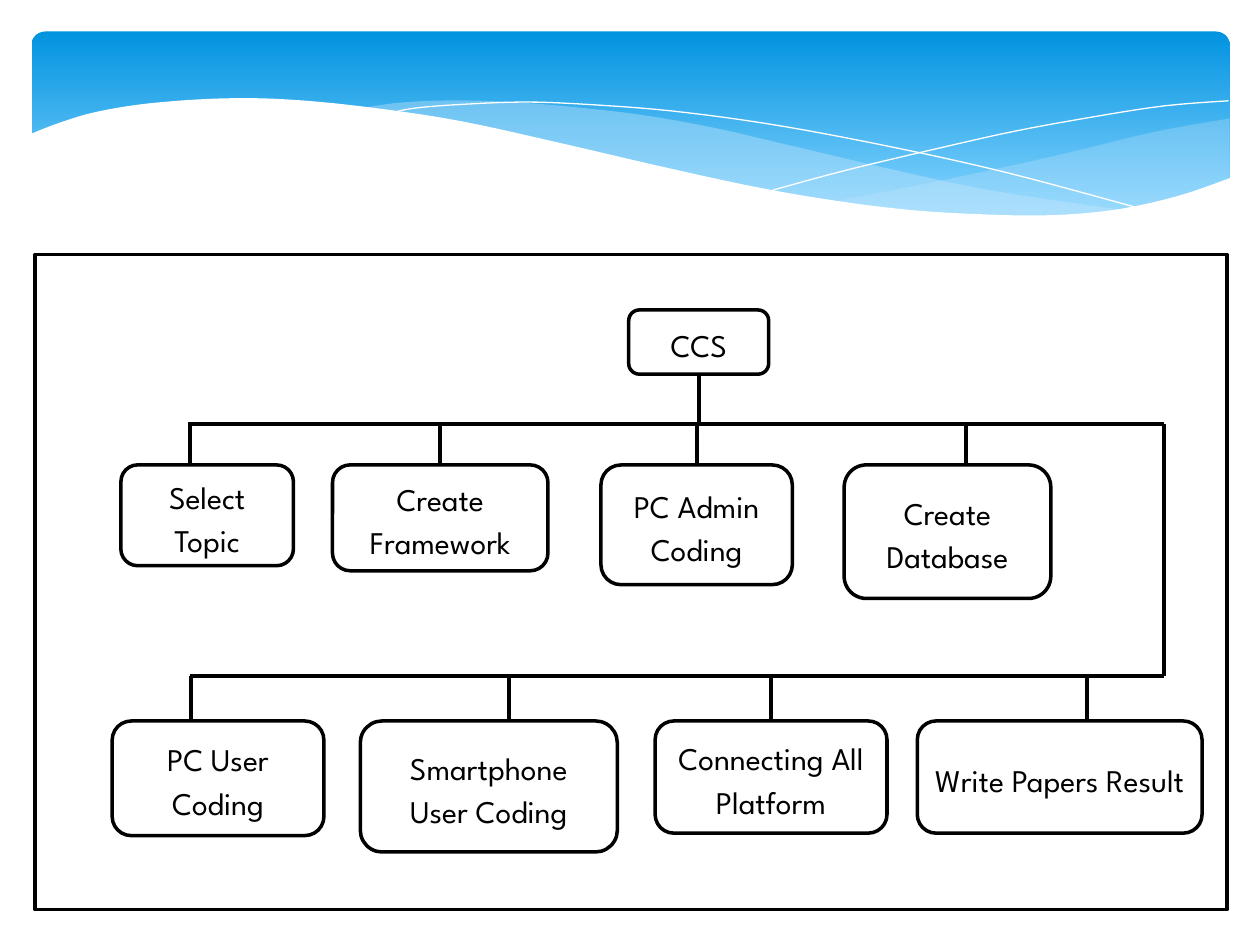
from lxml import etree
from pptx import Presentation
from pptx.dml.color import RGBColor
from pptx.enum.shapes import MSO_CONNECTOR, MSO_SHAPE
from pptx.enum.text import MSO_ANCHOR, PP_ALIGN
from pptx.oxml.ns import qn
from pptx.util import Pt

STRAIGHT = MSO_CONNECTOR.STRAIGHT
RECT, ROUNDED = MSO_SHAPE.RECTANGLE, MSO_SHAPE.ROUNDED_RECTANGLE
MIDDLE, CENTER = MSO_ANCHOR.MIDDLE, PP_ALIGN.CENTER
TOP, BOTTOM = 0, 2

BLACK = RGBColor(0x00, 0x00, 0x00)
WHITE = RGBColor(0xFF, 0xFF, 0xFF)
SKY = RGBColor(0x02, 0x93, 0xE0)
PALE_SKY = RGBColor(0x83, 0xD3, 0xFE)
MIST = RGBColor(0xC6, 0xE7, 0xFC)
FONT = "League Spartan"

# Curve knots, relative to the banner's top left corner
WAVE_EDGE = [(-1.5, 59), (15, 52.5), (36.7, 46), (67.7, 41), (109.4, 38.2),
             (147.6, 38.9), (192.2, 43.2), (244.8, 51.1), (303.8, 64.1),
             (362.9, 77.8), (416.2, 89.3), (463, 97.2), (504.7, 102.2),
             (542.2, 104.4), (574.6, 105.1), (603.4, 103.7), (629.3, 100.1),
             (658.8, 92.9), (685.4, 83.5)]
WAVE_BASE = [(685.4, 143.3), (-1.5, 143.3)]
RIGHT_CREST = [(684.7, 49.7), (655.2, 54.7), (634.3, 59), (601.9, 67),
               (561.6, 76.3), (506.9, 87.8), (457.9, 97.2)]
RIGHT_TROUGH = [(457.9, 97.2), (489.6, 100.8), (527, 104.4), (568.1, 105.8),
                (603.4, 104.4), (633.6, 99.4), (660.2, 92.9), (684.7, 83.5)]
LEFT_CREST = [(625, 102.2), (584.6, 96.5), (540, 89.3), (490.3, 78.5),
              (434.9, 65.5), (391.7, 55.4), (352.1, 48.2), (316.8, 43.9),
              (284.4, 41), (255.6, 39.6), (229.7, 39.6), (207.4, 41),
              (187.9, 43.9)]
LEFT_TROUGH = [(187.9, 43.9), (228.2, 49.7), (272.9, 58.3), (305.3, 65.5),
               (363.6, 79.2), (414.7, 90), (460.8, 97.9), (501.8, 103),
               (538.6, 105.8), (571, 106.6), (599, 105.1), (625, 102.2)]
FALLING_LINE = [(204.5, 46.8), (218.2, 43.9), (243.4, 41.8), (281.5, 40.3),
                (319.7, 41.8), (365.8, 45.4), (419.8, 52.6), (482.4, 64.1),
                (554.4, 79.9), (635, 101.5)]
RISING_LINE = [(423.4, 90.7), (465.8, 79.2), (520.6, 66.2), (562.3, 56.9),
               (605.5, 49), (647.3, 42.5), (684, 39.6)]

# Text, left, width, height and x of the drop line, relative to the chart
TOP_ROW = [("Select Topic", 49.1, 98.6, 57.6, 88.5),
           ("Create Framework", 170, 123.1, 60.5, 233.4),
           ("PC Admin Coding", 323.4, 109.4, 68.4, 378.2),
           ("Create Database", 462.4, 118.1, 76.3, 532.2)]
BOTTOM_ROW = [("PC User Coding", 44.1, 121, 65.5, 89.4),
              ("Smartphone User Coding", 185.9, 146.9, 74.9, 270.9),
              ("Connecting All Platform", 354.4, 132.5, 64.1, 418.5),
              ("Write Papers Result", 504.2, 162.7, 64.1, 601.4)]


def smooth(knots, steps=5):
    """Return points on a Catmull-Rom curve through the knots."""
    ends = [knots[0], *knots, knots[-1]]
    points = []
    for a, b, c, d in zip(ends, ends[1:], ends[2:], ends[3:]):
        for t in (i / steps for i in range(steps)):
            points.append(tuple(
                q + t / 2 * (r - p + t * (2 * p - 5 * q + 4 * r - s
                                          + t * (3 * (q - r) + s - p)))
                for p, q, r, s in zip(a, b, c, d)))
    return points + [knots[-1]]


def add_outline(slide, x, y, points, close):
    points = [(Pt(x + px), Pt(y + py)) for px, py in points]
    builder = slide.shapes.build_freeform(*points[0], scale=1.0)
    builder.add_line_segments(points[1:], close=close)
    s = builder.convert_to_shape()
    s.shadow.inherit = False
    return s


def add_wave(slide, x, y, points, color, alpha=None):
    s = add_outline(slide, x, y, points, True)
    s.fill.solid()
    s.fill.fore_color.rgb = color
    s.line.fill.background()
    if alpha is not None:
        clr = s.fill._xPr.find(qn("a:solidFill"))[0]
        etree.SubElement(clr, qn("a:alpha")).set("val", str(alpha * 1000))


def add_banner(slide, x, y, w, h):
    s = slide.shapes.add_shape(ROUNDED, Pt(x), Pt(y), Pt(w), Pt(h))
    s.adjustments[0] = 0.07
    s.shadow.inherit = False
    s.line.fill.background()
    s.fill.gradient()
    s.fill.gradient_angle = 270
    for stop, color, position in zip(s.fill.gradient_stops, (SKY, PALE_SKY), (0, 0.9)):
        stop.color.rgb = color
        stop.position = position

    add_wave(slide, x, y, smooth(RIGHT_CREST) + smooth(RIGHT_TROUGH), MIST, 29)
    add_wave(slide, x, y, smooth(LEFT_CREST) + smooth(LEFT_TROUGH), MIST, 40)
    for knots in (FALLING_LINE, RISING_LINE):
        s = add_outline(slide, x, y, smooth(knots), False)
        s.fill.background()
        s.line.color.rgb = WHITE
        s.line.width = 0
    add_wave(slide, x, y, smooth(WAVE_EDGE) + WAVE_BASE, WHITE)


def add_box(slide, kind, x, y, w, h):
    s = slide.shapes.add_shape(kind, Pt(x), Pt(y), Pt(w), Pt(h))
    s.shadow.inherit = False
    s.fill.background()
    s.line.color.rgb = BLACK
    s.line.width = Pt(2)
    return s


def add_step(slide, text, x, y, w, h):
    s = add_box(slide, ROUNDED, x, y, w, h)
    s.fill.solid()
    s.fill.fore_color.rgb = WHITE
    tf = s.text_frame
    tf.word_wrap = True
    tf.vertical_anchor = MIDDLE
    tf.text = text
    p = tf.paragraphs[0]
    p.alignment = CENTER
    p.line_spacing = 1.15
    p.space_after = Pt(10)
    font = p.runs[0].font
    font.name, font.size, font.color.rgb = FONT, Pt(18), BLACK
    return s


def add_line(slide, x1, y1, x2, y2):
    c = slide.shapes.add_connector(STRAIGHT, Pt(x1), Pt(y1), Pt(x2), Pt(y2))
    c.line.color.rgb = BLACK
    c.line.width = Pt(2.25)
    etree.SubElement(c._element.spPr, qn("a:effectLst"))
    return c


def add_row(slide, x, y, steps, bus_y):
    """Place a row of steps, each hanging from the horizontal line at bus_y."""
    for text, left, w, h, drop in steps:
        s = add_step(slide, text, x + left, y, w, h)
        c = add_line(slide, x + drop, bus_y, x + drop, y)
        if abs(left + w / 2 - drop) < 2.5:
            c.end_connect(s, TOP)
            c.begin_x = c.end_x


def add_chart_panel(slide, x, y, w, h):
    add_box(slide, RECT, x, y, w, h)
    root = add_step(slide, "CCS", x + 339.3, y + 31.6, 80, 36.7)
    upper, lower, right = y + 97, y + 241, x + 645
    stem = add_line(slide, x + 379.3, y + 68.3, x + 379.3, upper)
    stem.begin_connect(root, BOTTOM)
    add_row(slide, x, y + 120.2, TOP_ROW, upper)
    add_row(slide, x, y + 266.5, BOTTOM_ROW, lower)
    add_line(slide, x + 87.5, upper, right, upper)
    add_line(slide, right, upper, right, lower)
    add_line(slide, x + 88.5, lower, right, lower)


def main():
    prs = Presentation()
    prs.slide_width, prs.slide_height = Pt(720), Pt(540)
    slide = prs.slides.add_slide(prs.slide_layouts[6])
    add_banner(slide, 18, 18, 684.7, 112.3)
    add_chart_panel(slide, 20, 145.5, 681.1, 374.4)
    prs.save("out.pptx")


if __name__ == "__main__":
    main()
